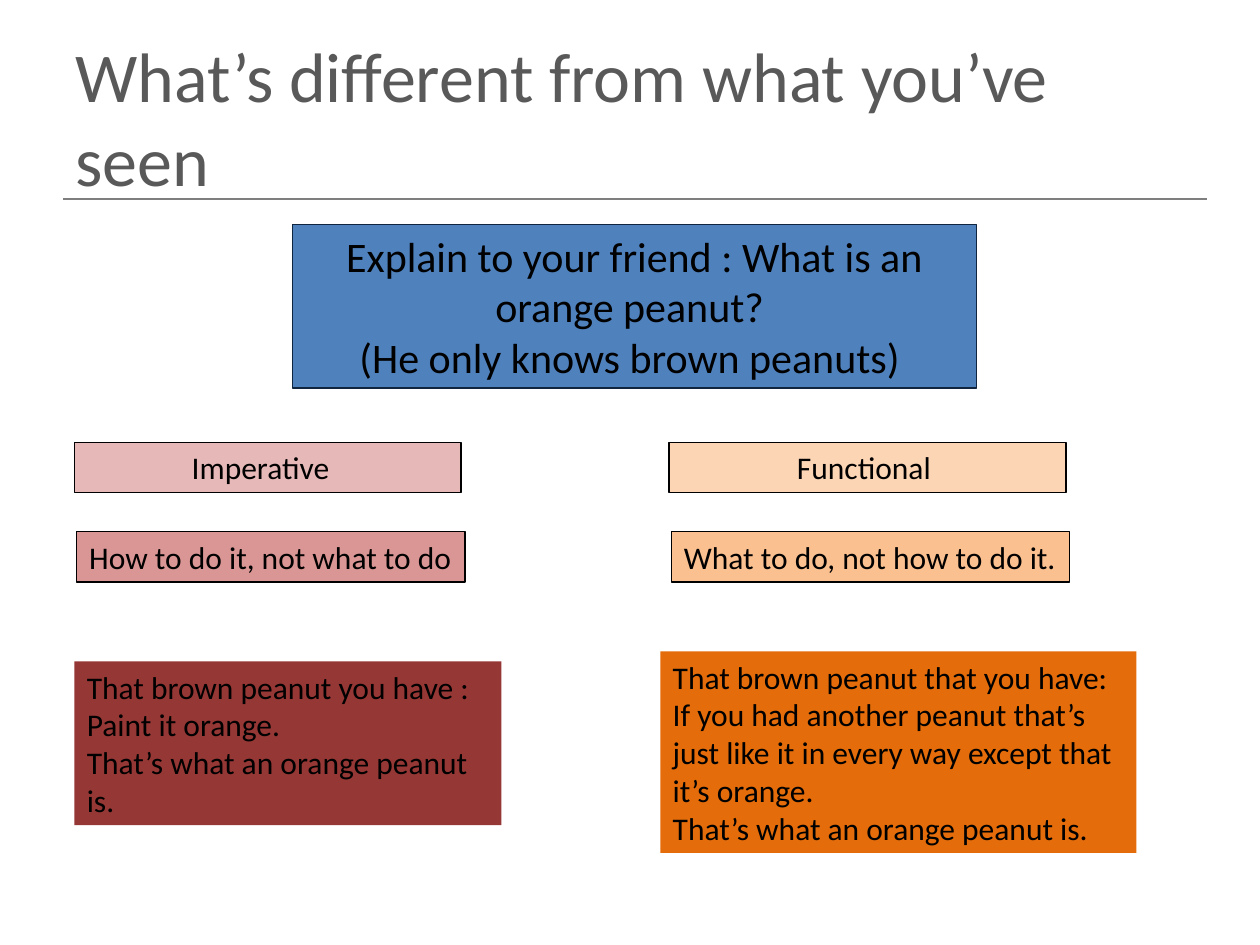
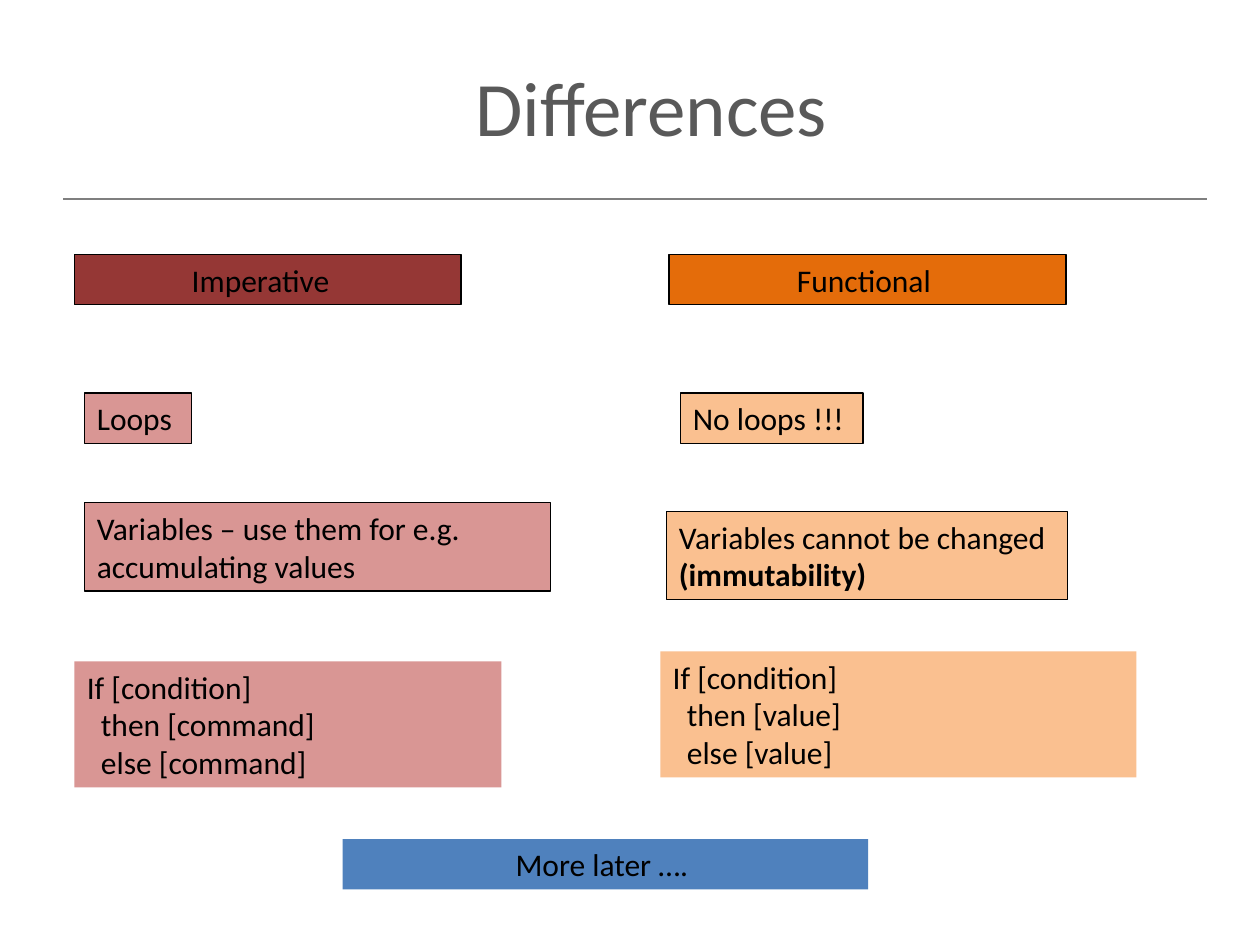
import dataclasses

import pptx
import pptx.dml.color
import pptx.enum.shapes
import pptx.enum.text
import pptx.oxml
import pptx.util

EMU_PER_PX = 9144  # 100 px to the inch
Align = pptx.enum.text.PP_ALIGN
Anchor = pptx.enum.text.MSO_ANCHOR
AutoSize = pptx.enum.text.MSO_AUTO_SIZE


@dataclasses.dataclass(frozen=True)
class Theme:
    font: str = "Calibri"
    ink: str = "000000"
    title: str = "595959"
    rule: str = "7F7F7F"
    blue: str = "4F81BD"
    navy: str = "10253F"
    # pale, middle and strong shade of each column
    imperative: tuple = ("E6B9B8", "D99694", "953735")
    functional: tuple = ("FCD5B5", "FAC090", "E46C0A")
    body_pt: int = 18
    question_pt: int = 24
    long_title_pt: int = 40
    title_pt: int = 44


THEME = Theme()
PALE, MIDDLE, STRONG = range(3)
IMPERATIVE_COLUMN = (59, 0)
FUNCTIONAL_COLUMN = (531, 0)


@dataclasses.dataclass(frozen=True)
class Panel:
    """A filled statement; box is relative to the column's corner."""
    box: tuple
    shade: int
    lines: tuple
    bold_line: str = ""
    outlined: bool = True
    wrap: bool = True


def px(*lengths):
    return [pptx.util.Emu(length * EMU_PER_PX) for length in lengths]


def rgb(color):
    return pptx.dml.color.RGBColor.from_string(color)


def write(frame, lines, size, color, align=Align.LEFT, bold_line=""):
    for index, line in enumerate(lines):
        paragraph = frame.paragraphs[0] if index == 0 else frame.add_paragraph()
        paragraph.alignment = align
        run = paragraph.add_run()
        run.text = line
        run.font.name = THEME.font
        run.font.size = pptx.util.Pt(size)
        run.font.bold = line == bold_line
        run.font.color.rgb = rgb(color)


def add_filled_box(slide, box, fill, lines, size=THEME.body_pt, outline=None,
                   align=Align.LEFT, bold_line="", wrap=True, left_inset=10):
    rectangle = slide.shapes.add_shape(
        pptx.enum.shapes.MSO_SHAPE.RECTANGLE, *px(*box))
    rectangle.shadow.inherit = False
    rectangle.fill.solid()
    rectangle.fill.fore_color.rgb = rgb(fill)
    if outline:
        rectangle.line.color.rgb = rgb(outline)
        rectangle.line.width = pptx.util.Pt(0.75)
    else:
        rectangle.line.fill.background()
    frame = rectangle.text_frame
    frame.margin_left, frame.margin_right = px(left_inset, 10)
    frame.margin_top, frame.margin_bottom = px(5, 5)
    frame.vertical_anchor = Anchor.TOP
    frame.word_wrap = wrap
    frame.auto_size = AutoSize.SHAPE_TO_FIT_TEXT
    write(frame, lines, size, THEME.ink, align, bold_line)


def add_title(slide, box, text, size, align=Align.LEFT):
    """Title text above the rule that every slide carries."""
    rule = slide.shapes.add_connector(
        pptx.enum.shapes.MSO_CONNECTOR.STRAIGHT, *px(50, 158, 958, 158))
    rule.line.color.rgb = rgb(THEME.rule)
    rule.line.width = pptx.util.Pt(1)
    rule._element.spPr.append(pptx.oxml.parse_xml(
        '<a:effectLst xmlns:a='
        '"http://schemas.openxmlformats.org/drawingml/2006/main"/>'))
    frame = slide.shapes.add_textbox(*px(*box)).text_frame
    frame.word_wrap = True
    frame.vertical_anchor = Anchor.MIDDLE
    write(frame, [text], size, THEME.title, align)


def add_column(slide, corner, shades, panels):
    left, top = corner
    for panel in panels:
        x, y, width, height = panel.box
        add_filled_box(slide, (left + x, top + y, width, height),
                       shades[panel.shade], panel.lines,
                       outline=THEME.ink if panel.outlined else None,
                       bold_line=panel.bold_line, wrap=panel.wrap)


def add_headings(slide, top, shade):
    """The pair of column headings, level with each other."""
    for (left, _), name, width, shades, inset in (
            (IMPERATIVE_COLUMN, "Imperative ", 307, THEME.imperative, 4),
            (FUNCTIONAL_COLUMN, "Functional ", 315, THEME.functional, 10)):
        add_filled_box(slide, (left, top, width, 40), shades[shade], [name],
                       outline=THEME.ink, align=Align.CENTER, left_inset=inset)


def build_peanut_slide(slide):
    add_title(slide, (50, 30, 900, 125),
              "What’s different from what you’ve seen", THEME.long_title_pt)
    add_filled_box(slide, (232, 178, 543, 130), THEME.blue,
                   ["Explain to your friend : What is an orange peanut? ",
                    "(He only knows brown peanuts) "],
                   size=THEME.question_pt, outline=THEME.navy,
                   align=Align.CENTER)
    add_headings(slide, 351, PALE)
    add_column(slide, IMPERATIVE_COLUMN, THEME.imperative, (
        Panel((2, 422, 308, 40), MIDDLE, ("How to do it, not what to do",),
              wrap=False),
        Panel((0, 525, 339, 130), STRONG,
              ("That brown peanut you have : Paint it orange.",
               "That’s what an orange peanut is."), outlined=False)))
    add_column(slide, FUNCTIONAL_COLUMN, THEME.functional, (
        Panel((2, 422, 316, 40), MIDDLE, ("What to do, not how to do it.",),
              wrap=False),
        Panel((-7, 517, 378, 160), STRONG,
              ("That brown peanut that you have:",
               "If you had another peanut that’s just like it in every way "
               "except that it’s orange.",
               "That’s what an orange peanut is."), outlined=False)))


def conditional(branch):
    return "If [condition]", f"  then [{branch}]", f"  else [{branch}]"


def build_differences_slide(slide):
    add_title(slide, (67, 21, 900, 125), "Differences", THEME.title_pt,
              Align.CENTER)
    add_headings(slide, 202, STRONG)
    add_column(slide, IMPERATIVE_COLUMN, THEME.imperative, (
        Panel((8, 312, 85, 40), MIDDLE, ("Loops",), wrap=False),
        Panel((8, 399, 370, 70), MIDDLE,
              ("Variables – use them for e.g. accumulating values",)),
        Panel((0, 525, 339, 100), MIDDLE, conditional("command"),
              outlined=False)))
    add_column(slide, FUNCTIONAL_COLUMN, THEME.functional, (
        Panel((9, 312, 145, 40), MIDDLE, ("No loops !!!",), wrap=False),
        Panel((-2, 406, 318, 70), MIDDLE,
              ("Variables cannot be changed", "(immutability)"),
              bold_line="(immutability)", wrap=False),
        Panel((-7, 517, 378, 100), MIDDLE, conditional("value"),
              outlined=False)))
    add_filled_box(slide, (272, 666, 417, 40), THEME.blue, ["More later …. "],
                   align=Align.CENTER)


def main():
    deck = pptx.Presentation()
    deck.slide_width, deck.slide_height = px(1000, 750)
    blank = deck.slide_layouts[6]
    for build in (build_peanut_slide, build_differences_slide):
        build(deck.slides.add_slide(blank))
    deck.save("out.pptx")


if __name__ == "__main__":
    main()
